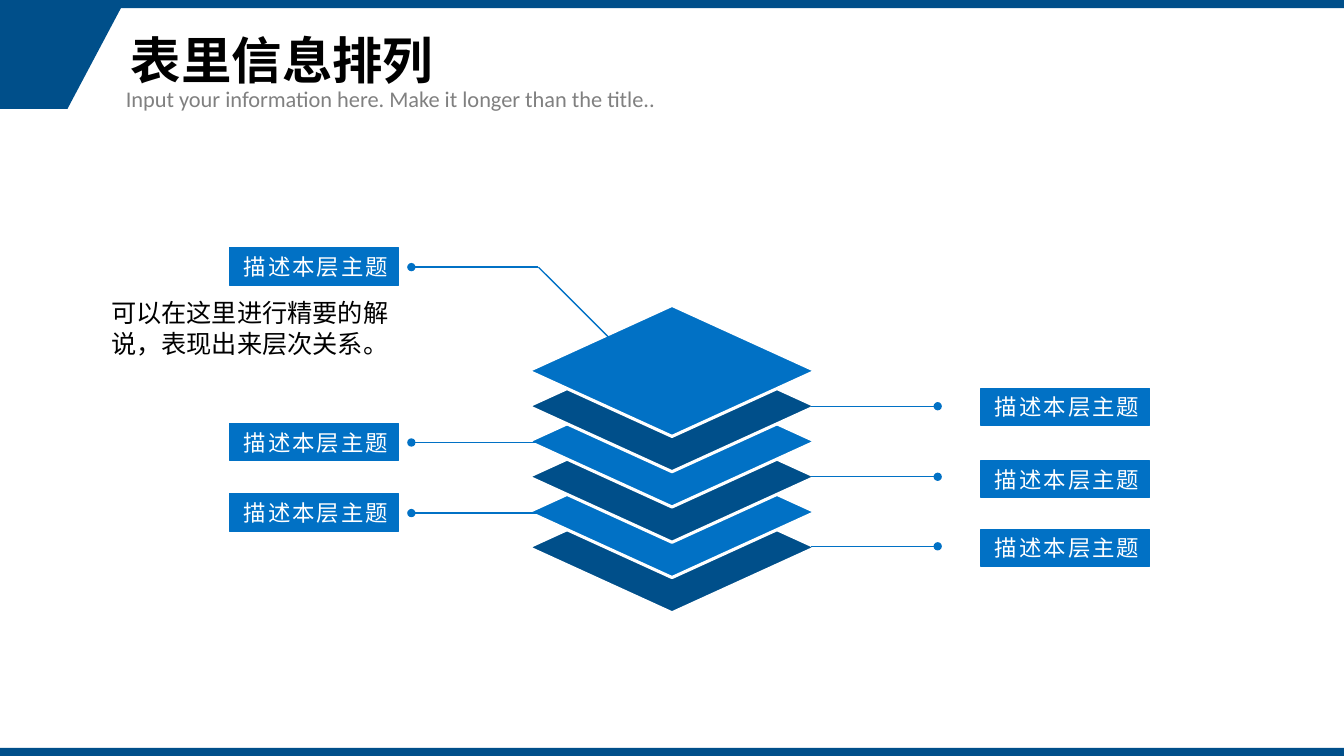
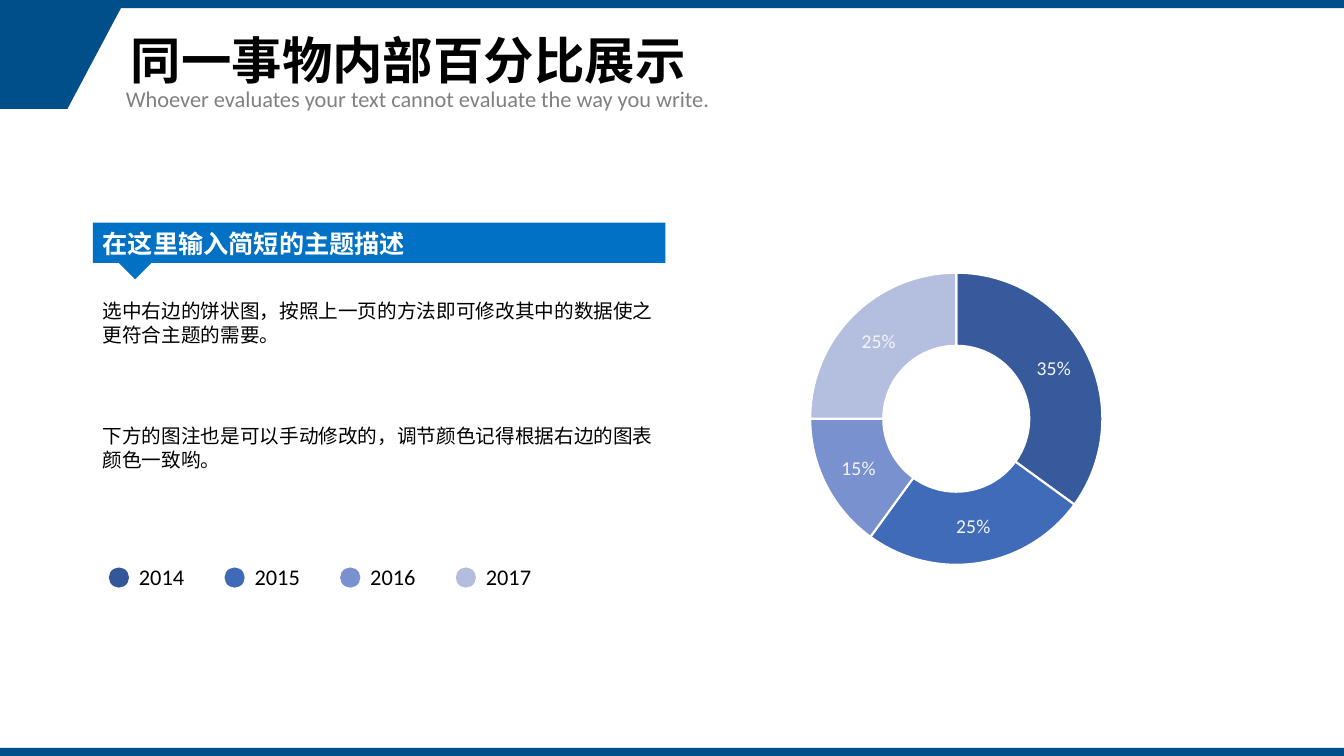
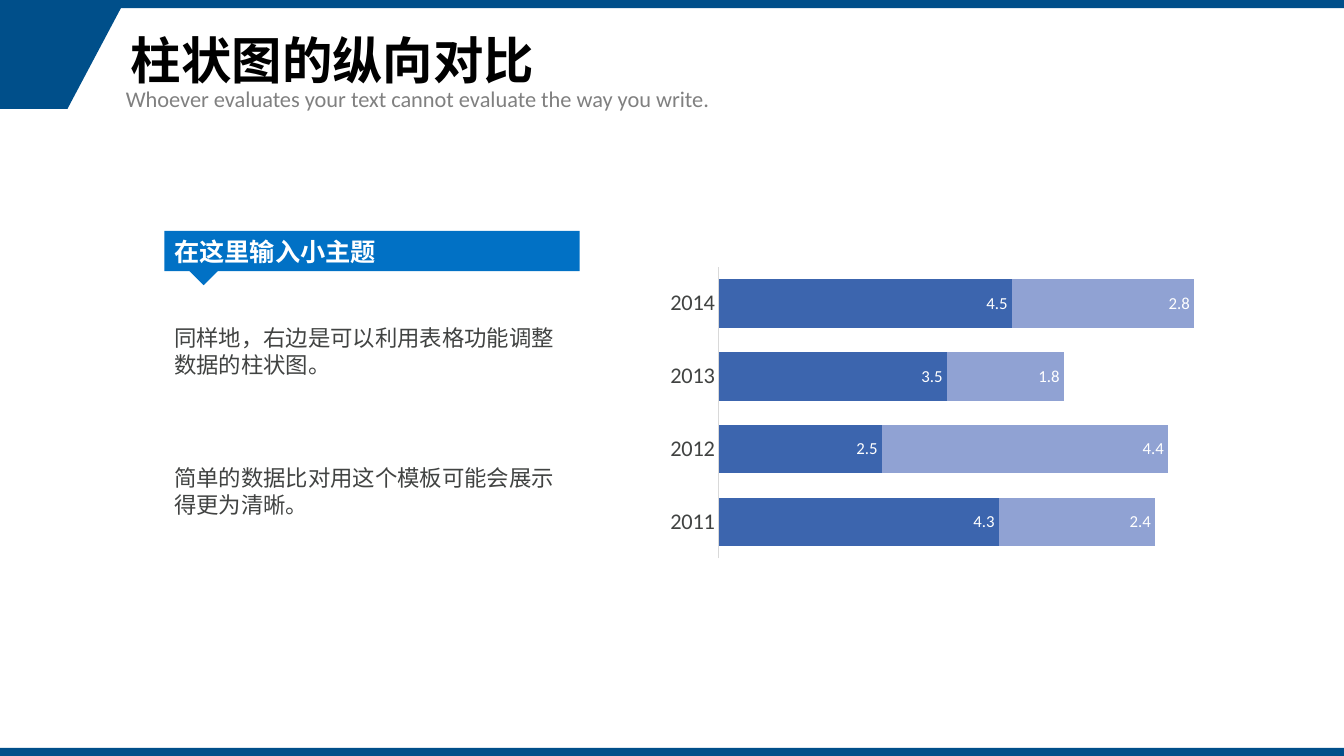
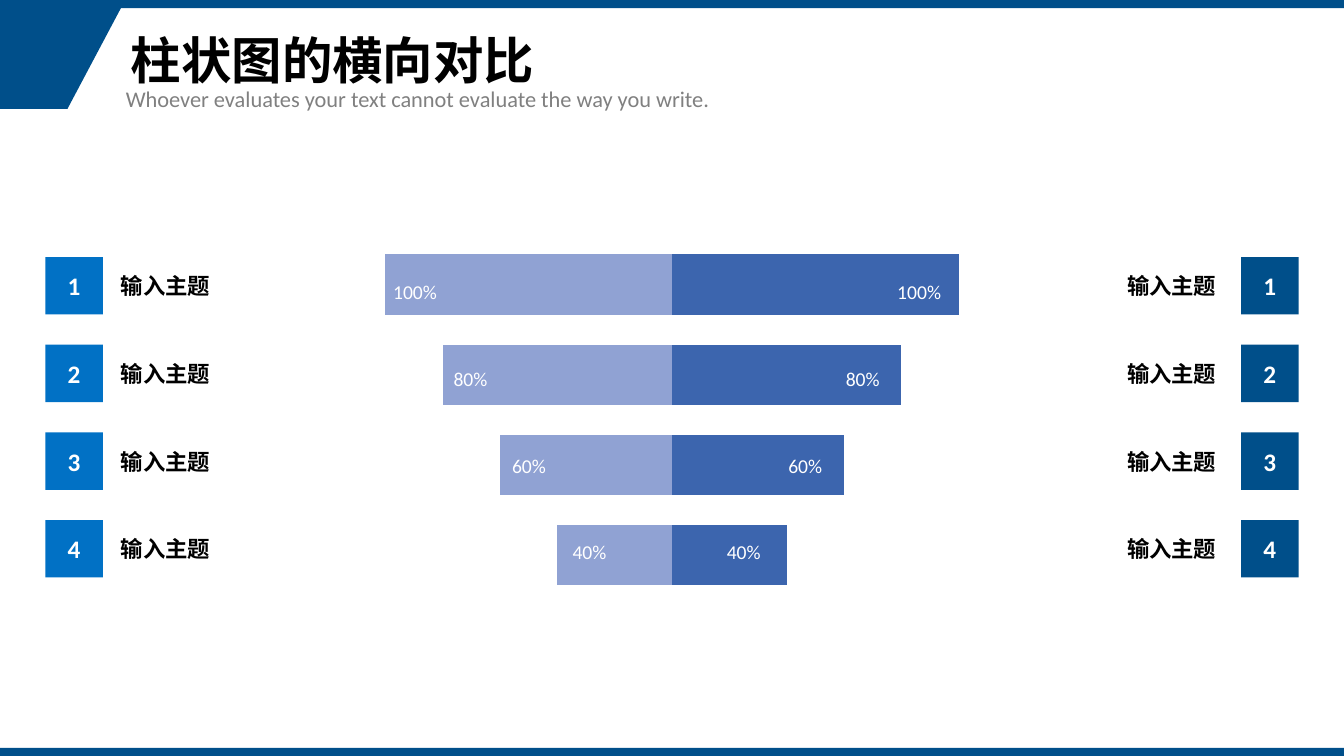
"""Build four template slides: layers, doughnut, stacked bars and paired bars."""
from lxml.etree import SubElement
from pptx import Presentation
from pptx.chart.data import CategoryChartData as ChartData
from pptx.dml.color import RGBColor
from pptx.enum.chart import XL_CHART_TYPE as CT, XL_LABEL_POSITION as LP
from pptx.enum.chart import XL_TICK_LABEL_POSITION as TL, XL_TICK_MARK as TM
from pptx.enum.shapes import MSO_CONNECTOR as MC, MSO_SHAPE as MS
from pptx.enum.text import MSO_ANCHOR as MA, MSO_AUTO_SIZE as AS, PP_ALIGN as PA
from pptx.oxml.ns import qn
from pptx.util import Inches, Pt

WIDE, HIGH, BAND = 13.33, 7.5, 0.08
DARK, BLUE, WHITE, BLACK = "004F8A", "0171C5", "FFFFFF", "000000"
GRAY, SLATE, NAVY, LILAC = "808080", "414342", "3C65AE", "90A2D3"
LATIN, HAN = "Calibri", "Noto Sans CJK SC"

WRITE = "Whoever evaluates your text cannot evaluate the way you write."
HEADS = [
    ("表里信息排列", "Input your information here. Make it longer than the title.."),
    ("同一事物内部百分比展示", WRITE),
    ("柱状图的纵向对比", WRITE),
    ("柱状图的横向对比", WRITE),
]

LAYER = "描述本层主题"
LAYERS = 6
NOTE = "可以在这里进行精要的解说，表现出来层次关系。"
LEFT = [(2.65, 2.46), (4.39, 4.2), (5.09, 4.9)]
RIGHT = [(4.03, 3.85), (4.73, 4.57), (5.42, 5.25)]

RING_HEAD = "在这里输入简短的主题描述"
RING_TEXT = [
    (2.91, "选中右边的饼状图，按照上一页的方法即可修改其中的数据使之更符合主题的需要。"),
    (4.15, "下方的图注也是可以手动修改的，调节颜色记得根据右边的图表颜色一致哟。"),
]
RING = [0.35, 0.25, 0.15, 0.25]
RING_FILL = ["365A9B", "406BB8", "7991CE", "B4BEDF"]
KEYS = [("2014", "335899"), ("2015", "3F6AB7"), ("2016", "7991CE"), ("2017", "B3BEDF")]

STACK_HEAD = "在这里输入小主题"
STACK_TEXT = [
    (3.16, "同样地，右边是可以利用表格功能调整数据的柱状图。"),
    (4.55, "简单的数据比对用这个模板可能会展示得更为清晰。"),
]
YEARS = ["2011", "2012", "2013", "2014"]
STACK = [[4.3, 2.5, 3.5, 4.5], [2.4, 4.4, 1.8, 2.8]]

TOPIC = "输入主题"
RANKS = ["1", "2", "3", "4"]
PAIRS = [[40, 60, 80, 100], [-40, -60, -80, -100]]
SHARES = [("100%", 3.8, 8.8, 0.72), ("80%", 4.4, 8.29, 0.62),
          ("60%", 4.98, 7.72, 0.62), ("40%", 5.58, 7.11, 0.62)]


def rgb(code):
    return RGBColor.from_string(code)


def box(at):
    return [Inches(v) for v in at]


def style(font, size, color, bold=False):
    font.name, font.size, font.bold = LATIN, Pt(size), bold
    font.color.rgb = rgb(color)


def write(shape, text, size, color=BLACK, bold=False, align=PA.LEFT,
          anchor=MA.TOP, wrap=True, grow=True, space=0):
    frame = shape.text_frame
    frame.text = text
    frame.word_wrap, frame.vertical_anchor = wrap, anchor
    frame.auto_size = AS.SHAPE_TO_FIT_TEXT if grow else AS.NONE
    para = frame.paragraphs[0]
    para.alignment = align
    run = para.runs[0]
    style(run.font, size, color, bold)
    if not text.isascii():
        para.line_spacing = Pt(round(size * 1.22, 1))
        run.font.name = HAN
        props = run._r.get_or_add_rPr()
        SubElement(props, qn("a:ea")).set("typeface", HAN)
        if space:
            props.set("spc", str(space))


def label(slide, at, text, size, color=BLACK, **more):
    write(slide.shapes.add_textbox(*box(at)), text, size, color, **more)


def paint(shape, fill, line=None, width=0.75):
    shape.shadow.inherit = False
    shape.fill.solid()
    shape.fill.fore_color.rgb = rgb(fill)
    if line:
        shape.line.color.rgb = rgb(line)
        shape.line.width = Pt(width)
    else:
        shape.line.fill.background()
    return shape


def block(slide, kind, at, fill, line=None, width=0.75):
    return paint(slide.shapes.add_shape(kind, *box(at)), fill, line, width)


def wire(slide, start, end, dot=True):
    link = slide.shapes.add_connector(MC.STRAIGHT, *box(start + end))
    link.line.color.rgb = rgb(BLUE)
    link.line.width = Pt(1)
    props = link._element.spPr
    if dot:
        SubElement(props.find(qn("a:ln")), qn("a:tailEnd")).set("type", "oval")
    SubElement(props, qn("a:effectLst"))


def banner(slide, x, y, w, text, tip):
    write(block(slide, MS.RECTANGLE, (x, y, w, 0.4), BLUE), text, 18, WHITE, bold=True)
    block(slide, MS.RIGHT_TRIANGLE, (*tip, 0.24, 0.24), BLUE).rotation = 315


def graph(slide, kind, at, cats, rows):
    data = ChartData()
    data.categories = cats
    for n, row in enumerate(rows, 1):
        data.add_series(f"Series {n}", row)
    chart = slide.shapes.add_chart(kind, *box(at), data).chart
    style(chart.font, 10, BLACK)
    chart.has_legend = chart.has_title = False
    chart.plots[0].vary_by_categories = False
    return chart


def tags(series, size, color):
    marks = series.data_labels
    marks.show_value = True
    style(marks.font, size, color)
    return marks


def bars(chart, low, high):
    plot, axis = chart.plots[0], chart.value_axis
    plot.gap_width, plot.overlap = 50, 100
    axis.visible = axis.has_major_gridlines = False
    axis.minimum_scale, axis.maximum_scale = low, high
    for series, color in zip(plot.series, (NAVY, LILAC)):
        series.invert_if_negative = False
        series.format.fill.solid()
        series.format.fill.fore_color.rgb = rgb(color)


def start(deck, head, sub):
    slide = deck.slides.add_slide(deck.slide_layouts[6])
    for y in (HIGH - BAND, 0):
        block(slide, MS.RECTANGLE, (0, y, WIDE, BAND), DARK)
    pen = slide.shapes.build_freeform(0, Inches(BAND), scale=1.0)
    pen.add_line_segments([box(p) for p in ((1.2, BAND), (0.67, 1.08), (0, 1.08))])
    paint(pen.convert_to_shape(), DARK)
    label(slide, (1.2, BAND, 11.22, 1), head, 36, bold=True, anchor=MA.MIDDLE, grow=False)
    label(slide, (1.15, 0.8, 7.8, 0.37), sub, 16, GRAY)
    return slide


def layers(slide):
    for n in reversed(range(LAYERS)):
        block(slide, MS.FLOWCHART_DECISION, (5.24, 3.03 + 0.35 * n, 2.85, 1.3),
              DARK if n % 2 else BLUE, WHITE, 2.25)
    wire(slide, (5.34, 2.65), (6.34, 3.65), dot=False)
    for rows, near, far, x in ((LEFT, 5.34, 4.08, 2.28), (RIGHT, 8.04, 9.3, 9.73)):
        for y, top in rows:
            wire(slide, (near, y), (far, y))
            write(block(slide, MS.RECTANGLE, (x, top, 1.67, 0.37), BLUE, BLUE),
                  LAYER, 16, WHITE, align=PA.RIGHT, wrap=False, space=150)
    label(slide, (0.78, 2.9, 3.17, 0.71), NOTE, 18, align=PA.RIGHT)


def ring(slide):
    chart = graph(slide, CT.DOUGHNUT, (7.91, 2.58, 3.15, 3.15), RANKS, [RING])
    plot = chart.plots[0]
    plot._element.find(qn("c:holeSize")).set("val", "35")
    series = plot.series[0]
    for n, color in enumerate(RING_FILL):
        form = series.points[n].format
        form.fill.solid()
        form.fill.fore_color.rgb = rgb(color)
        form.line.color.rgb = rgb(WHITE)
        form.line.width = Pt(1.5)
    marks = tags(series, 14, "F5F5F5")
    marks.number_format, marks.number_format_is_linked = "0%", False
    area = chart._chartSpace.chart.plotArea
    spot = area.find(qn("c:layout"))
    if spot is None:
        spot = SubElement(area, qn("c:layout"))
        area.insert(0, spot)
    hand = SubElement(spot, qn("c:manualLayout"))
    for tag, val in (("layoutTarget", "inner"), ("xMode", "edge"), ("yMode", "edge"),
                     ("x", 0.04), ("y", 0.04), ("w", 0.92), ("h", 0.92)):
        SubElement(hand, qn("c:" + tag)).set("val", str(val))
    for y, text in RING_TEXT:
        label(slide, (0.92, y, 5.68, 0.57), text, 14)
    for n, (year, color) in enumerate(KEYS):
        x = 1.08 + 1.147 * n
        block(slide, MS.OVAL, (x, 5.63, 0.2, 0.2), color)
        label(slide, (x + 0.2, 5.54, 0.66, 0.37), year, 16, wrap=False)
    banner(slide, 0.92, 2.21, 5.68, RING_HEAD, (1.22, 2.48))


def stack(slide):
    chart = graph(slide, CT.BAR_STACKED, (6.53, 2.59, 5.88, 3.01), YEARS, STACK)
    bars(chart, 0, 8)
    for series in chart.plots[0].series:
        tags(series, 12, WHITE).position = LP.INSIDE_END
    axis = chart.category_axis
    axis.major_tick_mark = axis.minor_tick_mark = TM.NONE
    style(axis.tick_labels.font, 16, SLATE)
    axis.format.line.color.rgb = rgb("D9D9D9")
    axis.format.line.width = Pt(0.75)
    axis.tick_label_position = TL.NEXT_TO_AXIS
    for y, text in STACK_TEXT:
        label(slide, (1.63, y, 4.12, 0.64), text, 16, SLATE)
    banner(slide, 1.63, 2.29, 4.12, STACK_HEAD, (1.9, 2.54))


def pairs(slide):
    chart = graph(slide, CT.BAR_CLUSTERED, (2.22, 2.3, 8.89, 3.73), RANKS, PAIRS)
    bars(chart, -150, 150)
    chart.category_axis.visible = False
    for n, rank in enumerate(RANKS):
        y = 2.55 + 0.87 * n
        for x, side, color in ((0.45, 1.1, BLUE), (12.31, 11.08, DARK)):
            write(block(slide, MS.RECTANGLE, (x, y, 0.57, 0.57), color), rank, 18, WHITE,
                  bold=True, align=PA.CENTER, anchor=MA.MIDDLE, grow=False)
            label(slide, (side, y + 0.1, 1.1, 0.37), TOPIC, 16, bold=True, wrap=False)
    for n, (text, left, right, w) in enumerate(SHARES):
        for x in (left, right):
            label(slide, (x, 2.73 + 0.86 * n, w, 0.34), text, 14, WHITE, wrap=False)


def main():
    deck = Presentation()
    deck.slide_width, deck.slide_height = box((WIDE, HIGH))
    for head, fill in zip(HEADS, (layers, ring, stack, pairs)):
        fill(start(deck, *head))
    deck.save("out.pptx")


if __name__ == "__main__":
    main()
